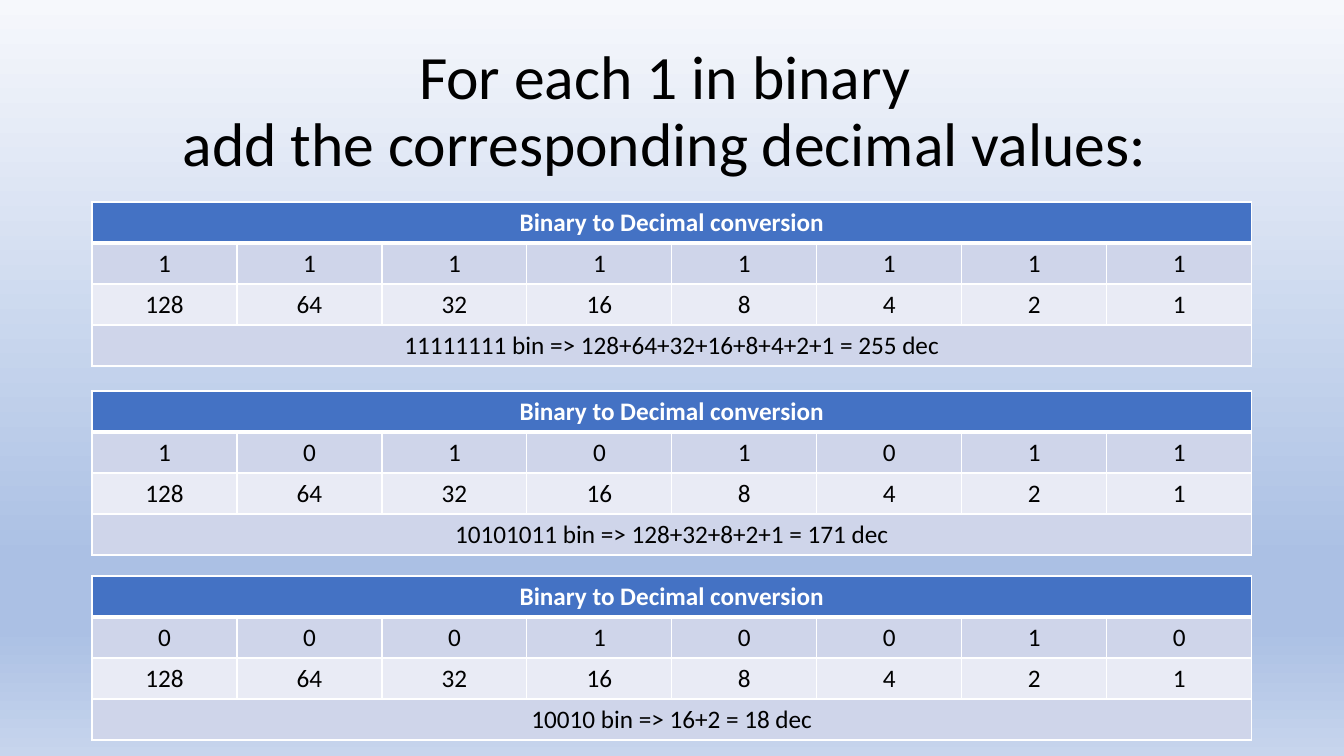
from lxml import etree
from pptx import Presentation
from pptx.dml.color import RGBColor
from pptx.enum.text import MSO_ANCHOR, MSO_AUTO_SIZE, PP_ALIGN
from pptx.oxml.ns import qn
from pptx.util import Emu, Pt

CENTER = PP_ALIGN.CENTER
MIDDLE = MSO_ANCHOR.MIDDLE
NO_AUTOFIT = MSO_AUTO_SIZE.NONE

SLIDE_WIDTH, SLIDE_HEIGHT = 1344, 756
EMU_PER_PX = 12192000 / SLIDE_WIDTH
TITLE_ONLY_LAYOUT = 5

FONT = "Calibri"
BLACK, WHITE = "000000", "FFFFFF"
HEADER_BLUE, BAND_DARK, BAND_LIGHT = "4472C4", "CFD5EA", "E9EBF5"
BACKGROUND_STOPS = [(0, "F6F8FC"), (74, "ABC0E4"), (83, "ABC0E4"), (100, "C7D5ED")]

PLACE_VALUES = [128, 64, 32, 16, 8, 4, 2, 1]
TABLE_LEFT, COLUMN_WIDTH, ROW_HEIGHT = 92, 145, 41
CONVERSIONS = [(202, "11111111"), (391, "10101011"), (576, "00010010")]


def px(length):
    return Emu(round(length * EMU_PER_PX))


def rgb(color):
    return RGBColor.from_string(color)


def write_text(text_frame, text, size=18, color=BLACK, bold=False, line_spacing=None):
    """Fill the first paragraph, with a line break at each newline."""
    paragraph = text_frame.paragraphs[0]
    paragraph.alignment = CENTER
    paragraph.line_spacing = line_spacing
    for index, line in enumerate(text.split("\n")):
        if index:
            paragraph.add_line_break()
        run = paragraph.add_run()
        run.text = line
        run.font.name = FONT
        run.font.size = Pt(size)
        run.font.bold = bold
        run.font.color.rgb = rgb(color)


def add_color(parent, color):
    etree.SubElement(parent, qn("a:srgbClr"), val=color)


def set_background(slide):
    fill = slide.background.fill
    fill.gradient()
    fill.gradient_angle = 270
    stop_list = next(slide.element.iter(qn("a:gsLst")))
    for stop in list(stop_list):
        stop_list.remove(stop)
    for percent, color in BACKGROUND_STOPS:
        add_color(etree.SubElement(stop_list, qn("a:gs"), pos=str(percent * 1000)), color)


def set_title(slide, text):
    title = slide.shapes.title
    title.left, title.top, title.width, title.height = px(92), px(40), px(1160), px(146)
    frame = title.text_frame
    frame.auto_size = NO_AUTOFIT
    frame.word_wrap = True
    frame.vertical_anchor = MIDDLE
    write_text(frame, text, size=44, line_spacing=0.9)


def set_borders(cell, top=1, bottom=1):
    properties = cell._tc.get_or_add_tcPr()
    for side, width in (("L", 1), ("R", 1), ("T", top), ("B", bottom)):
        line = etree.SubElement(properties, qn(f"a:ln{side}"), w=str(Pt(width)))
        add_color(etree.SubElement(line, qn("a:solidFill")), WHITE)


def conversion_sum(bits):
    values = [value for bit, value in zip(bits, PLACE_VALUES) if bit == "1"]
    terms = "+".join(map(str, values))
    return f"{bits.lstrip('0')} bin => {terms} = {sum(values)} dec"


def add_conversion_table(slide, top, bits):
    rows = [["Binary to Decimal conversion"], bits, PLACE_VALUES, [conversion_sum(bits)]]
    fills = [HEADER_BLUE, BAND_DARK, BAND_LIGHT, BAND_DARK]
    column_count = len(PLACE_VALUES)
    table = slide.shapes.add_table(
        len(rows), column_count, px(TABLE_LEFT), px(top),
        px(column_count * COLUMN_WIDTH), px(len(rows) * ROW_HEIGHT)).table
    for column in table.columns:
        column.width = px(COLUMN_WIDTH)
    for row_index, (values, color) in enumerate(zip(rows, fills)):
        is_header = row_index == 0
        table.rows[row_index].height = px(ROW_HEIGHT)
        for column_index in range(column_count):
            cell = table.cell(row_index, column_index)
            set_borders(cell, top=3 if row_index == 1 else 1, bottom=3 if is_header else 1)
            cell.fill.solid()
            cell.fill.fore_color.rgb = rgb(color)
        if len(values) == 1:
            table.cell(row_index, 0).merge(table.cell(row_index, column_count - 1))
        for column_index, value in enumerate(values):
            write_text(table.cell(row_index, column_index).text_frame, str(value),
                       color=WHITE if is_header else BLACK, bold=is_header)


def main():
    presentation = Presentation()
    presentation.slide_width = px(SLIDE_WIDTH)
    presentation.slide_height = px(SLIDE_HEIGHT)
    slide = presentation.slides.add_slide(presentation.slide_layouts[TITLE_ONLY_LAYOUT])
    set_background(slide)
    set_title(slide, "For each 1 in binary \nadd the corresponding decimal values: ")
    for top, bits in CONVERSIONS:
        add_conversion_table(slide, top, bits)
    presentation.save("out.pptx")


if __name__ == "__main__":
    main()
